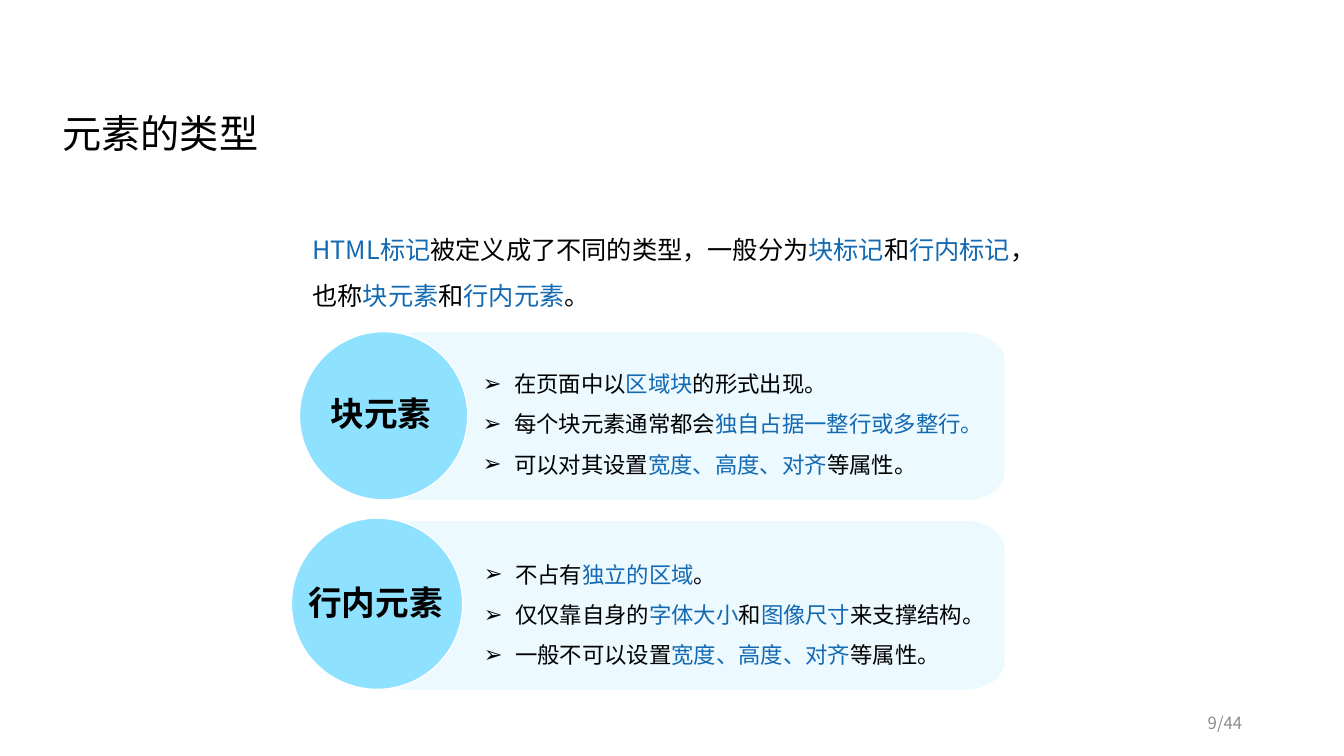
import dataclasses
import math

import lxml.etree
import pptx
import pptx.dml.color
import pptx.enum.shapes
import pptx.enum.text
import pptx.oxml.ns
import pptx.util

SCALE = 9144
ALIGN = pptx.enum.text.PP_ALIGN
ANCHOR = pptx.enum.text.MSO_ANCHOR
AUTO_SIZE = pptx.enum.text.MSO_AUTO_SIZE


@dataclasses.dataclass(frozen=True)
class Theme:
    """Colours, typeface and type sizes of the slide."""
    font: str = "Noto Sans CJK SC"
    ink: str = "000000"
    accent: str = "1369B2"
    muted: str = "8C8C8C"
    panel: str = "ECF9FE"
    circle: str = "8FE2FF"
    outline: str = "FFFFFF"
    title: int = 28
    label: int = 24
    intro: int = 18
    bullet: int = 16
    number: int = 12


THEME = Theme()

SECTIONS = [
    {
        "label": "块元素",
        "panel": (375, 329, 622, 168),
        "circle": (297, 329, 167, 167),
        "caption": (318, 385, 141, 50),
        "list": (469, 349, 546, 131),
        "bullets": [
            "在页面中以*区域块*的形式出现。",
            "每个块元素通常都会*独自占据一整行或多整行。*",
            "可以对其设置*宽度、高度、对齐*等属性。",
        ],
    },
    {
        "label": "行内元素",
        "panel": (365, 516, 632, 169),
        "circle": (289, 514, 170, 170),
        "caption": (296, 572, 168, 50),
        "list": (470, 538, 533, 131),
        "bullets": [
            "不占有*独立的区域*。",
            "仅仅靠自身的*字体大小*和*图像尺寸*来支撑结构。",
            "一般不可以设置*宽度、高度、对齐*等属性。",
        ],
    },
]


def emu(box):
    """Turn px lengths into EMU."""
    return [length * SCALE for length in box]


def colour(value):
    """Return an RGB colour from its hex value."""
    return pptx.dml.color.RGBColor.from_string(value)


def apply(target, values):
    """Set every attribute named in a dict of format values."""
    for name, value in values.items():
        setattr(target, name, value)


def place(shape, box):
    """Move a shape to the given box."""
    apply(shape, dict(zip(("left", "top", "width", "height"), emu(box))))


def add_bullet(para):
    """Give a paragraph a hanging arrow bullet."""
    properties = para._p.get_or_add_pPr()
    properties.set("marL", str(31 * SCALE))
    properties.set("indent", str(-31 * SCALE))
    bullet = lxml.etree.SubElement(properties, pptx.oxml.ns.qn("a:buChar"))
    bullet.set("char", "➢")


def write(shape, lines, size, spacing=1.0, align=ALIGN.LEFT, anchor=ANCHOR.TOP,
          auto_size=AUTO_SIZE.SHAPE_TO_FIT_TEXT, ink=THEME.ink, bold=False, bulleted=False):
    """Fill a shape with lines whose starred parts take the accent colour."""
    frame = shape.text_frame
    apply(frame, {"word_wrap": True, "auto_size": auto_size, "vertical_anchor": anchor})
    for index, line in enumerate(lines):
        para = frame.add_paragraph() if index else frame.paragraphs[0]
        apply(para, {"alignment": align, "line_spacing": spacing,
                     "space_before": pptx.util.Pt(0)})
        if bulleted:
            add_bullet(para)
        for part, text in enumerate(line.split("*")):
            if text:
                span = para.add_run()
                span.text = text
                apply(span.font, {"size": pptx.util.Pt(size), "bold": bold,
                                  "name": THEME.font})
                span.font.color.rgb = colour(THEME.accent if part % 2 else ink)
                east_asian = lxml.etree.SubElement(
                    span._r.get_or_add_rPr(), pptx.oxml.ns.qn("a:ea"))
                east_asian.set("typeface", THEME.font)


def paint(shape, fill):
    """Give a shape a plain fill and a thin white outline."""
    shape.shadow.inherit = False
    shape.fill.solid()
    shape.fill.fore_color.rgb = colour(fill)
    shape.line.color.rgb = colour(THEME.outline)
    shape.line.width = pptx.util.Pt(1)


def add_panel(page, box):
    """Draw a panel with wide elliptical corners."""
    left, top, width, height = emu(box)
    radius_x, radius_y = emu((40, 28))
    steps = 12
    points = []
    for corner in range(4):
        centre_x = left + (width - radius_x if corner in (0, 3) else radius_x)
        centre_y = top + (height - radius_y if corner in (0, 1) else radius_y)
        for step in range(steps + 1):
            angle = (corner + step / steps) * math.pi / 2
            points.append((round(centre_x + radius_x * math.cos(angle)),
                           round(centre_y + radius_y * math.sin(angle))))
    builder = page.shapes.build_freeform(*points[0])
    builder.add_line_segments(points[1:], close=True)
    paint(builder.convert_to_shape(), THEME.panel)


def add_badge(page, section):
    """Group a circle with its caption."""
    group = page.shapes.add_group_shape()
    circle = group.shapes.add_shape(
        pptx.enum.shapes.MSO_SHAPE.OVAL, *emu(section["circle"]))
    paint(circle, THEME.circle)
    caption = group.shapes.add_textbox(*emu(section["caption"]))
    write(caption, [section["label"]], THEME.label, bold=True)


def add_section(page, section, holder):
    """Build one element type: panel, list and badge."""
    add_panel(page, section["panel"])
    place(holder, section["list"])
    holder.element.getparent().append(holder.element)
    write(holder, section["bullets"], THEME.bullet, spacing=1.5, bulleted=True)
    add_badge(page, section)


def add_heading(page, box):
    """Place the slide title."""
    place(page.shapes.title, box)
    write(page.shapes.title, ["元素的类型"], THEME.title, spacing=1.5)


def add_intro(page, box):
    """Place the introductory sentence."""
    intro = page.shapes.add_textbox(*emu(box))
    text = ("*HTML标记*被定义成了不同的类型，一般分为*块标记*和*行内标记*"
            "，也称*块元素*和*行内元素*。")
    write(intro, [text], THEME.intro, spacing=1.5)


def add_page_number(page, box):
    """Place the page count at the lower right."""
    number = page.shapes.add_textbox(*emu(box))
    write(number, ["9/44"], THEME.number, spacing=1.2, align=ALIGN.RIGHT,
          anchor=ANCHOR.MIDDLE, auto_size=AUTO_SIZE.NONE, ink=THEME.muted)


def main():
    """Build and save the deck."""
    deck = pptx.Presentation()
    apply(deck, dict(zip(("slide_width", "slide_height"), emu((1333, 750)))))
    page = deck.slides.add_slide(deck.slide_layouts.get_by_name("Two Content"))
    holders = list(page.placeholders)[1:]
    add_heading(page, (52, 80, 657, 81))
    add_intro(page, (300, 213, 758, 101))
    for section, holder in zip(SECTIONS, holders):
        add_section(page, section, holder)
    add_page_number(page, (942, 695, 300, 40))
    deck.save("out.pptx")


if __name__ == "__main__":
    main()
